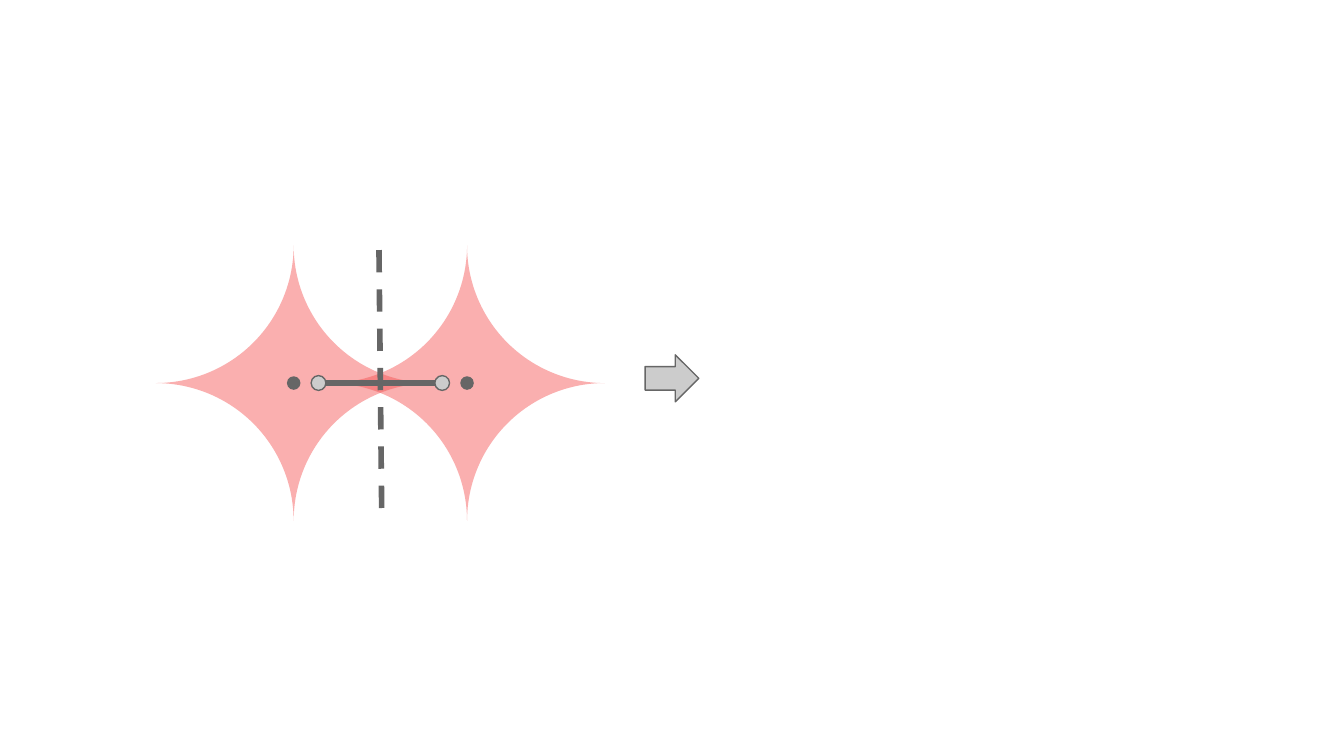
from lxml import etree
from pptx import Presentation
from pptx.dml.color import RGBColor
from pptx.enum.dml import MSO_LINE
from pptx.enum.shapes import MSO_CONNECTOR, MSO_SHAPE
from pptx.oxml.ns import qn
from pptx.util import Inches, Pt

ELLIPSE = MSO_SHAPE.OVAL
PLAQUE = MSO_SHAPE.PLAQUE
RIGHT_ARROW = MSO_SHAPE.RIGHT_ARROW
STRAIGHT = MSO_CONNECTOR.STRAIGHT
DASH = MSO_LINE.DASH
BLANK_LAYOUT = 6


def color(value):
    return RGBColor.from_string(value)


class Diagram:
    dark = "666666"
    light = "CCCCCC"
    red = "F44E4E"
    outline = Pt(0.75)
    stroke = Pt(3)

    def __init__(self, page):
        self.page = page

    def shape(self, kind, left, top, width, height, fill):
        shape = self.page.shapes.add_shape(
            kind, Inches(left), Inches(top), Inches(width), Inches(height))
        shape.shadow.inherit = False
        shape.fill.solid()
        shape.fill.fore_color.rgb = color(fill)
        shape.line.color.rgb = color(self.dark)
        shape.line.width = self.outline
        return shape

    def star(self, x, y, size, opacity):
        star = self.shape(PLAQUE, x - size / 2, y - size / 2, size, size, self.red)
        star.adjustments[0] = 0.5
        star.line.fill.background()
        tint = star.fill._xPr.find(qn("a:solidFill"))[0]
        etree.SubElement(tint, qn("a:alpha"), val=str(opacity * 1000))

    def dot(self, x, y, size, fill):
        return self.shape(ELLIPSE, x - size / 2, y - size / 2, size, size, fill)

    def line(self, start, end, dash=None):
        line = self.page.shapes.add_connector(
            STRAIGHT, *(Inches(length) for length in (*start, *end)))
        line.line.color.rgb = color(self.dark)
        line.line.width = self.stroke
        line.line.dash_style = dash
        etree.SubElement(line._element.spPr, qn("a:effectLst"))

    def arrow(self, left, top, width, height):
        self.shape(RIGHT_ARROW, left, top, width, height, self.light)


def main():
    deck = Presentation()
    deck.slide_width = Inches(10)
    deck.slide_height = deck.slide_width * 9 // 16
    page = deck.slides.add_slide(deck.slide_layouts[BLANK_LAYOUT])
    diagram = Diagram(page)

    axis, middle = 2.83, 2.85
    center_gap, end_gap = 1.29, 0.92
    centers = [axis - center_gap / 2, axis + center_gap / 2]
    ends = [axis - end_gap / 2, axis + end_gap / 2]

    for x in centers:
        diagram.star(x, middle, 2.05, 45)
    page.shapes.add_group_shape(
        [diagram.dot(x, middle, 0.11, diagram.light) for x in ends])
    diagram.line((2.42, middle), (3.24, middle))
    diagram.line((2.84, 3.78), (2.82, 1.85), DASH)
    for x in centers:
        diagram.dot(x, middle, 0.09, diagram.dark)
    diagram.arrow(4.8, 2.64, 0.4, 0.35)

    deck.save("out.pptx")


if __name__ == "__main__":
    main()
